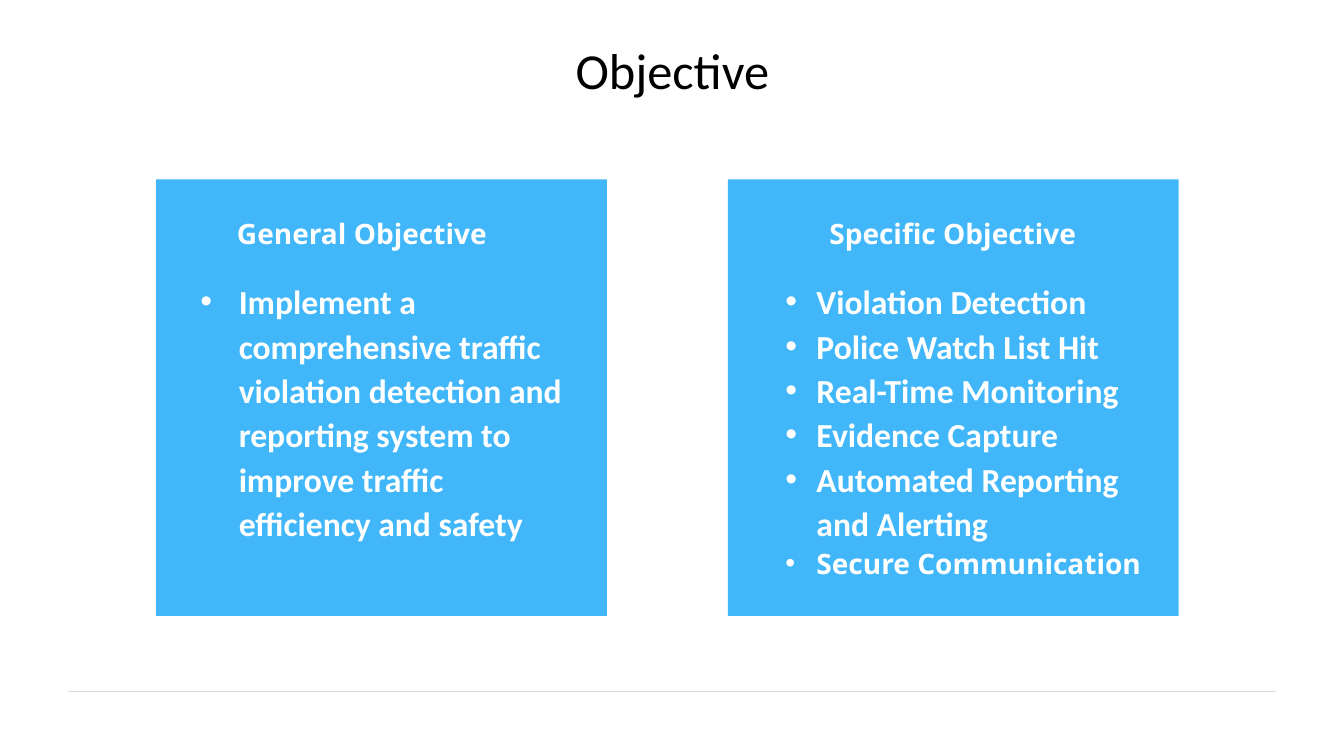
from lxml import etree
from pptx import Presentation
from pptx.dml.color import RGBColor
from pptx.enum.shapes import MSO_CONNECTOR, MSO_SHAPE
from pptx.enum.text import MSO_ANCHOR, PP_ALIGN
from pptx.oxml.ns import qn
from pptx.util import Pt

PX = 9144  # 100 px to the inch
BLUE = RGBColor(0x12, 0xA6, 0xF8)
WHITE = RGBColor(0xFF, 0xFF, 0xFF)
BLACK = RGBColor(0, 0, 0)
GREY = RGBColor(0xD9, 0xD9, 0xD9)
RECT = MSO_SHAPE.RECTANGLE
LINE = MSO_CONNECTOR.STRAIGHT
CENTER = PP_ALIGN.CENTER
MIDDLE = MSO_ANCHOR.MIDDLE
BODY = ("Calibri", 24)
HEAD = ("Open Sans", 20)

GOAL = [("Implement a comprehensive traffic violation detection and reporting "
         "system to improve traffic efficiency and safety", BODY)]
TASKS = [
    ("Violation Detection", BODY),
    ("Police Watch List Hit", BODY),
    ("Real-Time Monitoring", BODY),
    ("Evidence Capture", BODY),
    ("Automated Reporting and Alerting", BODY),
    ("Secure Communication", HEAD),
]


def emu(*px):
    return [n * PX for n in px]


def add_box(slide, box):
    frame = slide.shapes.add_textbox(*emu(*box)).text_frame
    frame.word_wrap = True
    return frame


def add_run(para, text, style, color, bold=True):
    run = para.add_run()
    run.text = text
    run.font.name, size = style
    run.font.size = Pt(size)
    run.font.bold = bold
    run.font.color.rgb = color


def add_bullet(para, indent):
    props = para._p.get_or_add_pPr()
    props.set("marL", str(indent * PX))
    props.set("indent", str(-indent * PX))
    font = etree.SubElement(props, qn("a:buFont"))
    font.set("typeface", "Arial")
    etree.SubElement(props, qn("a:buChar")).set("char", "•")


def add_title(slide, box):
    frame = add_box(slide, box)
    frame.vertical_anchor = MIDDLE
    para = frame.paragraphs[0]
    para.alignment = CENTER
    add_run(para, "Objective", ("Calibri", 36), BLACK, False)


def add_rule(slide, left, right, y):
    rule = slide.shapes.add_connector(LINE, *emu(left, y, right, y))
    rule.line.color.rgb = GREY
    rule.line.width = Pt(0.75)
    etree.SubElement(rule._element.spPr, qn("a:effectLst"))


def add_card(slide, box, head, head_dx, items, list_dx, indent):
    left, top, width, height = box

    # Translucent panel
    card = slide.shapes.add_shape(RECT, *emu(*box))
    card.shadow.inherit = False
    card.fill.solid()
    card.fill.fore_color.rgb = BLUE
    card.line.fill.background()
    tint = card._element.spPr.find(".//" + qn("a:srgbClr"))
    etree.SubElement(tint, qn("a:alpha")).set("val", "80000")

    # Bulleted list
    frame = add_box(slide, (left + list_dx, top + 92, 380, height - 92))
    for i, (text, style) in enumerate(items):
        para = frame.add_paragraph() if i else frame.paragraphs[0]
        para.line_spacing = 1.1
        add_bullet(para, indent)
        add_run(para, text, style, WHITE)

    # Heading
    para = add_box(slide, (left + head_dx, top + 32, 376, 44)).paragraphs[0]
    para.alignment = CENTER
    add_run(para, head, HEAD, WHITE)


def main():
    deck = Presentation()
    deck.slide_width, deck.slide_height = emu(1333, 750)
    slide = deck.slides.add_slide(deck.slide_layouts[6])
    add_rule(slide, 67, 1266, 686)
    add_title(slide, (67, 30, 1200, 78))
    add_card(slide, (155, 178, 447, 433), "General Objective", 16, GOAL, 34, 38)
    add_card(slide, (722, 178, 447, 433), "Specific Objective", 35, TASKS, 47, 31)
    deck.save("out.pptx")


if __name__ == "__main__":
    main()
